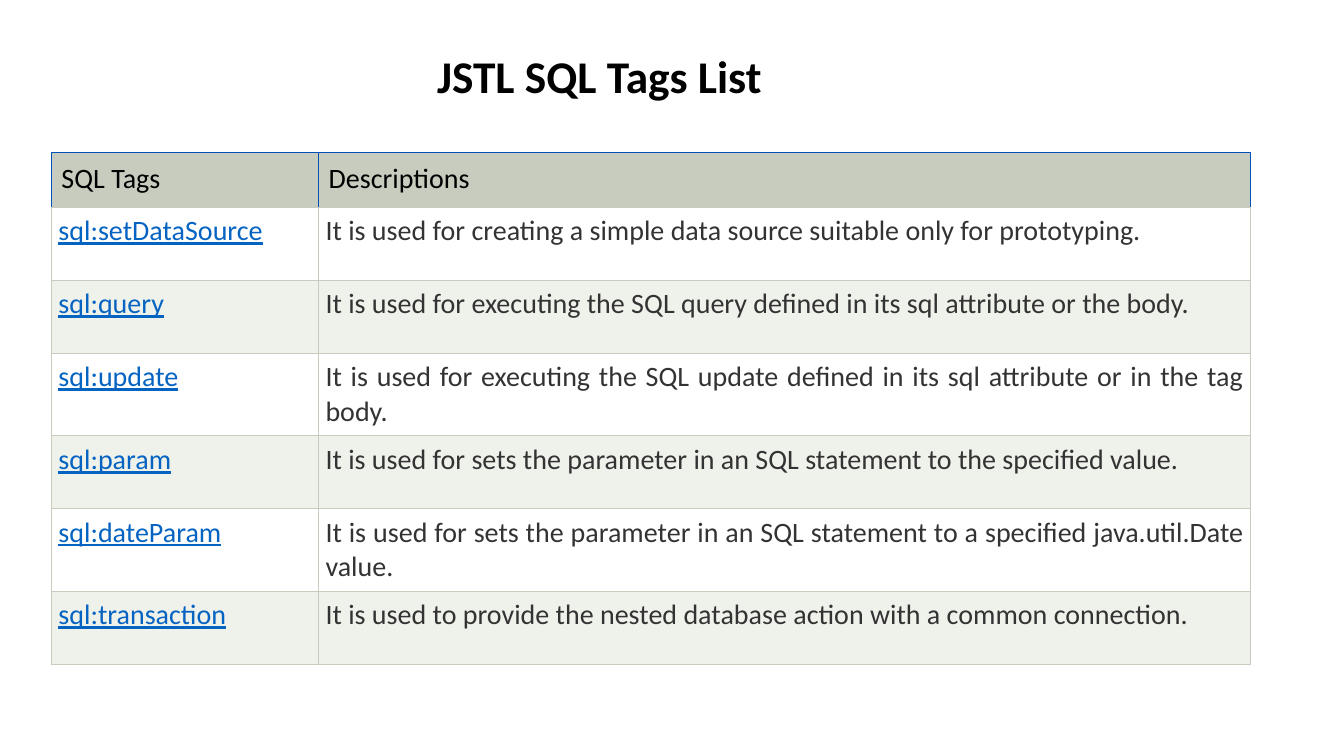
from dataclasses import dataclass

from lxml.etree import SubElement
from pptx import Presentation
from pptx.dml.color import RGBColor
from pptx.enum.text import MSO_ANCHOR, PP_ALIGN
from pptx.oxml.ns import qn
from pptx.util import Pt

TITLE = "JSTL SQL Tags List"
HEADINGS = ("SQL Tags", "Descriptions")
TAGS = [
    ("sql:setDataSource", "It is used for creating a simple data source suitable only for prototyping."),
    ("sql:query", "It is used for executing the SQL query defined in its sql attribute or the body."),
    ("sql:update", "It is used for executing the SQL update defined in its sql attribute or in the tag body."),
    ("sql:param", "It is used for sets the parameter in an SQL statement to the specified value."),
    ("sql:dateParam", "It is used for sets the parameter in an SQL statement to a specified java.util.Date value."),
    ("sql:transaction", "It is used to provide the nested database action with a common connection."),
]


@dataclass(frozen=True)
class Theme:
    font: str = "Calibri"
    title_size: float = 32.4
    table_size: float = 20
    black: str = "000000"
    body: str = "333333"
    link: str = "0563C1"
    header_fill: str = "C7CCBE"
    band_fills: tuple = ("FFFFFF", "EFF1EB")
    header_line: str = "0052B9"
    grid_line: str = "C7CCBE"
    line_width: float = 0.75


THEME = Theme()
TABLE_LEFT, TABLE_TOP = 36.72, 108.72
COLUMN_WIDTHS = (190.8, 666)
HEADER_HEIGHT, ROW_HEIGHT = 39.3, 52.1
HEADER_INSET, BODY_INSET = 7.2, 5.04


def add_span(para, text, size, color, bold=False, underline=False):
    span = para.add_run()
    span.text = text
    span.font.name = THEME.font
    span.font.size = Pt(size)
    span.font.bold = bold
    span.font.underline = underline
    span.font.color.rgb = RGBColor.from_string(color)


def set_borders(cell, colors):
    properties = cell._tc.get_or_add_tcPr()
    for side, color in zip("LRTB", colors):
        line = SubElement(properties, qn(f"a:ln{side}"), w=str(Pt(THEME.line_width)))
        fill = SubElement(line, qn("a:solidFill"))
        SubElement(fill, qn("a:srgbClr"), val=color)


def fill_cell(cell, text, inset, fill, borders, color, align, underline=False):
    cell.margin_left = cell.margin_right = Pt(inset)
    cell.margin_top = cell.margin_bottom = Pt(inset)
    cell.vertical_anchor = MSO_ANCHOR.TOP
    set_borders(cell, borders)
    cell.fill.solid()
    cell.fill.fore_color.rgb = RGBColor.from_string(fill)
    para = cell.text_frame.paragraphs[0]
    para.alignment = align
    add_span(para, text, THEME.table_size, color, underline=underline)


def add_title(page):
    box = page.shapes.title
    box.left, box.top, box.width, box.height = Pt(19.44), Pt(28.8), Pt(922.3), Pt(66.2)
    frame = box.text_frame
    frame.word_wrap = True
    frame.vertical_anchor = MSO_ANCHOR.MIDDLE
    frame.margin_left = Pt(292.7)
    frame.margin_top, frame.margin_bottom = Pt(3.6), Pt(15)
    para = frame.paragraphs[0]
    para.alignment = PP_ALIGN.LEFT
    para.line_spacing = 0.9
    add_span(para, TITLE, THEME.title_size, THEME.black, bold=True)


def add_tag_table(page):
    heights = [HEADER_HEIGHT] + [ROW_HEIGHT] * len(TAGS)
    table = page.shapes.add_table(
        len(heights), len(COLUMN_WIDTHS), Pt(TABLE_LEFT), Pt(TABLE_TOP),
        Pt(sum(COLUMN_WIDTHS)), Pt(sum(heights)),
    ).table
    table.first_row = table.horz_banding = False
    for column, width in zip(table.columns, COLUMN_WIDTHS):
        column.width = Pt(width)
    for row, height in zip(table.rows, heights):
        row.height = Pt(height)

    header_borders = [THEME.header_line] * 3 + [THEME.grid_line]
    for index, heading in enumerate(HEADINGS):
        fill_cell(table.cell(0, index), heading, HEADER_INSET, THEME.header_fill,
                  header_borders, THEME.black, PP_ALIGN.LEFT)

    for index, (tag, description) in enumerate(TAGS):
        fill = THEME.band_fills[index % 2]
        shared = (BODY_INSET, fill, [THEME.grid_line] * 4)
        fill_cell(table.cell(index + 1, 0), tag, *shared, THEME.link, PP_ALIGN.JUSTIFY, underline=True)
        fill_cell(table.cell(index + 1, 1), description, *shared, THEME.body, PP_ALIGN.JUSTIFY)


def main():
    deck = Presentation()
    deck.slide_width, deck.slide_height = Pt(960), Pt(540)
    page = deck.slides.add_slide(deck.slide_layouts[5])
    add_title(page)
    add_tag_table(page)
    deck.save("out.pptx")


if __name__ == "__main__":
    main()
